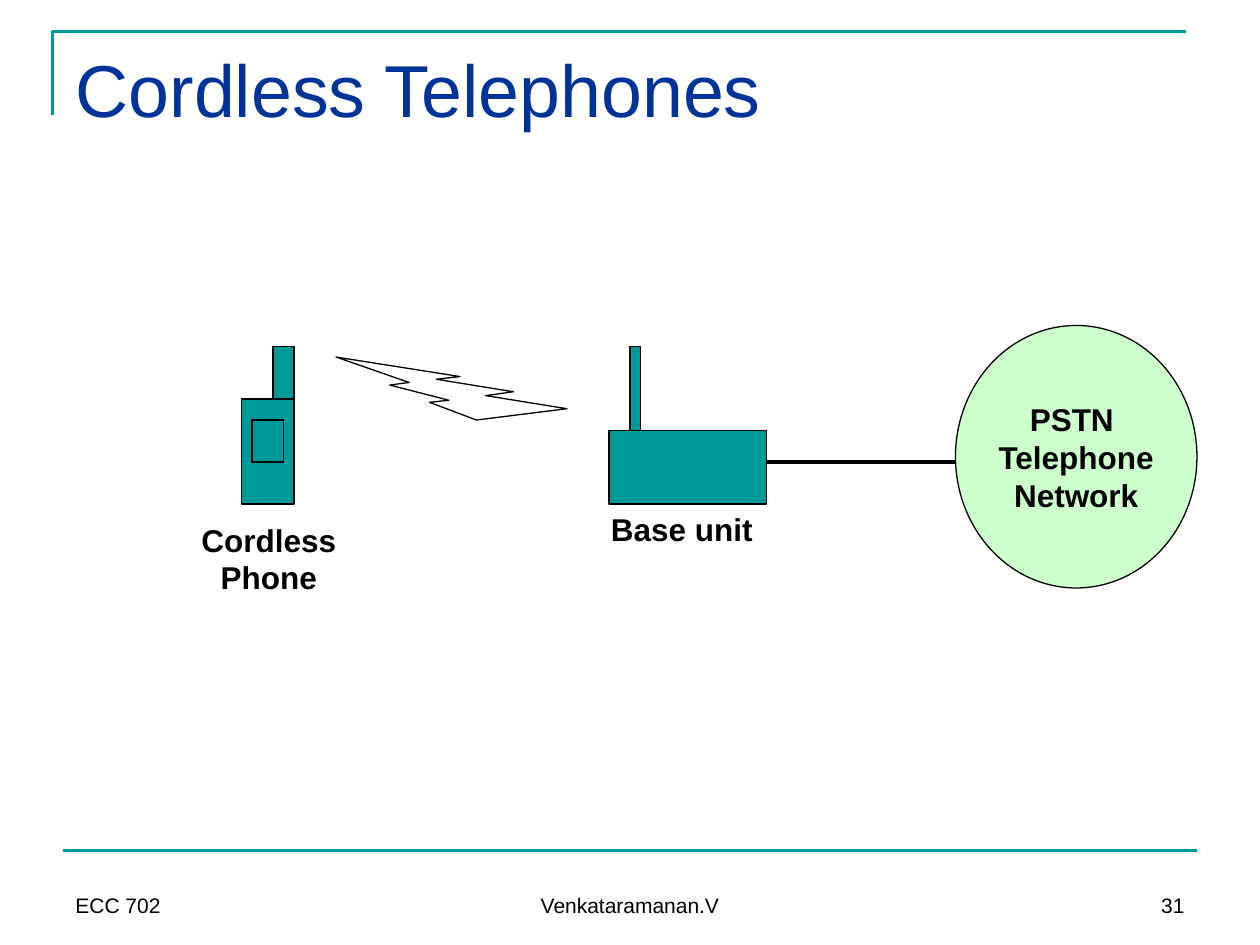
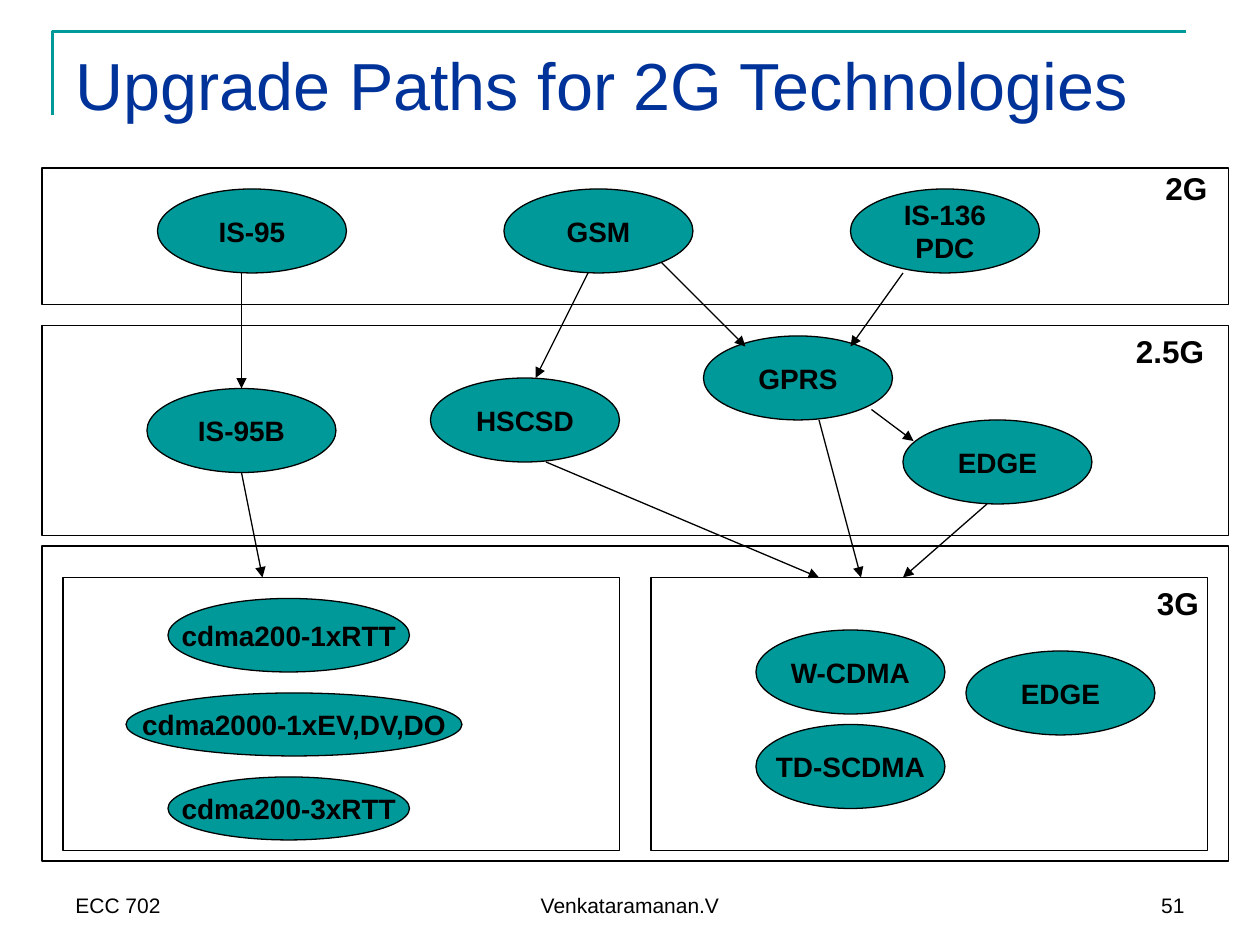
from pptx import Presentation
from pptx.dml.color import RGBColor
from pptx.enum.shapes import MSO_CONNECTOR, MSO_SHAPE
from pptx.enum.text import MSO_ANCHOR, MSO_AUTO_SIZE, PP_ALIGN
from pptx.oxml.ns import qn
from pptx.util import Inches, Pt
from lxml.etree import SubElement

COLORS = {"teal": "009999", "navy": "003399", "ink": "000000",
          "paper": "FFFFFF", "mint": "CCFFCC"}
CELL = Inches(1) // 12
TITLE_ONLY = 5


def cells(*counts):
    return [round(count * CELL) for count in counts]


def color(name):
    return RGBColor.from_string(COLORS[name])


def write_text(frame, text, size=18, bold=True, ink="ink", align=PP_ALIGN.LEFT,
               anchor=MSO_ANCHOR.TOP, wrap=False, fit=MSO_AUTO_SIZE.NONE):
    frame.text = text
    frame.word_wrap = wrap
    frame.auto_size = fit
    frame.vertical_anchor = anchor
    for paragraph in frame.paragraphs:
        paragraph.alignment = align
        paragraph.font.name = "Arial"
        paragraph.font.size = Pt(size)
        paragraph.font.bold = bold
        paragraph.font.color.rgb = color(ink)


class Deck:
    def __init__(self):
        self.presentation = Presentation()
        self.presentation.slide_width, self.presentation.slide_height = cells(120, 90)
        self.shapes = None

    def new_slide(self, title, number, title_size):
        layout = self.presentation.slide_layouts[TITLE_ONLY]
        self.shapes = self.presentation.slides.add_slide(layout).shapes
        heading = self.shapes.title
        heading.left, heading.top, heading.width, heading.height = cells(6, 3.6, 108, 15)
        write_text(heading.text_frame, title, size=title_size, bold=False,
                   ink="navy", wrap=True)
        self.corner()
        footers = [(6, 28, "ECC 702", PP_ALIGN.LEFT),
                   (41, 38, "Venkataramanan.V", PP_ALIGN.CENTER),
                   (86, 28, number, PP_ALIGN.RIGHT)]
        for column, width, text, align in footers:
            self.label(text, column, 82, width, 6, size=12, bold=False,
                       align=align, anchor=MSO_ANCHOR.BOTTOM, wrap=True)

    def corner(self):
        outline = self.shapes.build_freeform(5, 11, scale=CELL)
        outline.add_line_segments([(5, 3), (113, 3)], close=False)
        bracket = outline.convert_to_shape()
        bracket.shadow.inherit = False
        bracket.fill.background()
        bracket.line.color.rgb = color("teal")
        bracket.line.width = Pt(1.5)

    def label(self, text, column, row, width, height=4.8, **style):
        box = self.shapes.add_textbox(*cells(column, row, width, height))
        write_text(box.text_frame, text, **style)

    def tag(self, text, column, row, width, height=4.8, **style):
        self.label(text, column, row, width, height,
                   fit=MSO_AUTO_SIZE.SHAPE_TO_FIT_TEXT, **style)

    def block(self, column, row, width, height, fill="teal", kind=MSO_SHAPE.RECTANGLE):
        shape = self.shapes.add_shape(kind, *cells(column, row, width, height))
        shape.shadow.inherit = False
        shape.fill.solid()
        shape.fill.fore_color.rgb = color(fill)
        shape.line.color.rgb = color("ink")
        shape.line.width = Pt(0.75)
        return shape

    def oval(self, text, column, row, width=18, height=8, fill="teal", size=16):
        shape = self.block(column, row, width, height, fill, MSO_SHAPE.OVAL)
        write_text(shape.text_frame, text, size=size, align=PP_ALIGN.CENTER,
                   anchor=MSO_ANCHOR.MIDDLE)

    def line(self, start, end, ink="ink", weight=0.75, arrow=False):
        connector = self.shapes.add_connector(MSO_CONNECTOR.STRAIGHT,
                                              *cells(*start, *end))
        connector.line.color.rgb = color(ink)
        connector.line.width = Pt(weight)
        properties = connector._element.spPr
        if arrow:
            SubElement(properties.find(qn("a:ln")), qn("a:tailEnd"), type="triangle")
        SubElement(properties, qn("a:effectLst"))


def cordless_telephones(deck):
    deck.new_slide("Cordless Telephones", "31", 42)
    deck.line((6, 81), (114, 81), ink="teal", weight=1.5)

    base_unit = (58, 41, 15, 7)
    handset = (23, 38, 5, 10)
    handset_antenna = (26, 33, 2, 5)
    handset_screen = (24, 40, 3, 4)
    base_antenna = (60, 33, 1, 8)
    for part in (base_unit, handset, handset_antenna, handset_screen, base_antenna):
        deck.block(*part)

    deck.tag("Cordless\nPhone", 18, 49, 15.2, 8.4, align=PP_ALIGN.CENTER)
    deck.tag("Base unit", 57, 48, 16)
    radio_link = deck.block(32, 34, 22, 6, "paper", MSO_SHAPE.LIGHTNING_BOLT)
    radio_link.rotation = 180
    deck.oval("PSTN \nTelephone\nNetwork", 91, 31, 23, 25, fill="mint", size=18)
    deck.line((73, 44), (91, 44), weight=2.25)


def upgrade_paths(deck):
    deck.new_slide("Upgrade Paths for 2G Technologies", "51", 38)

    for row, height in [(16, 13), (31, 20), (52, 30)]:
        deck.block(4, row, 113, height, "paper")
    for column in (62, 6):
        deck.block(column, 55, 53, 26, "paper")

    technologies = [
        ("IS-136\vPDC", 81, 18), ("GSM", 48, 18), ("IS-95", 15, 18),
        ("IS-95B", 14, 37), ("HSCSD", 41, 36), ("GPRS", 67, 32), ("EDGE", 86, 40),
        ("W-CDMA", 72, 60), ("EDGE", 92, 62), ("TD-SCDMA", 72, 69),
        ("cdma200-1xRTT", 16, 57, 23, 7),
        ("cdma2000-1xEV,DV,DO", 12, 66, 32, 6),
        ("cdma200-3xRTT", 16, 74, 23, 6),
    ]
    for technology in technologies:
        deck.oval(*technology)

    upgrades = [
        ((23, 26), (23, 37)), ((56, 26), (51, 36)), ((63, 25), (71, 33)),
        ((86, 26), (81, 33)), ((83, 39), (87, 42)), ((78, 40), (82, 55)),
        ((52, 44), (78, 55)), ((94, 48), (86, 55)), ((23, 45), (25, 55)),
    ]
    for start, end in upgrades:
        deck.line(start, end, arrow=True)

    generations = [("2G", 109.8, 15.5, 6.4), ("2.5G", 107, 31, 8.9), ("3G", 109, 55, 6.4)]
    for generation in generations:
        deck.tag(*generation)


def main():
    deck = Deck()
    cordless_telephones(deck)
    upgrade_paths(deck)
    deck.presentation.save("out.pptx")


if __name__ == "__main__":
    main()
